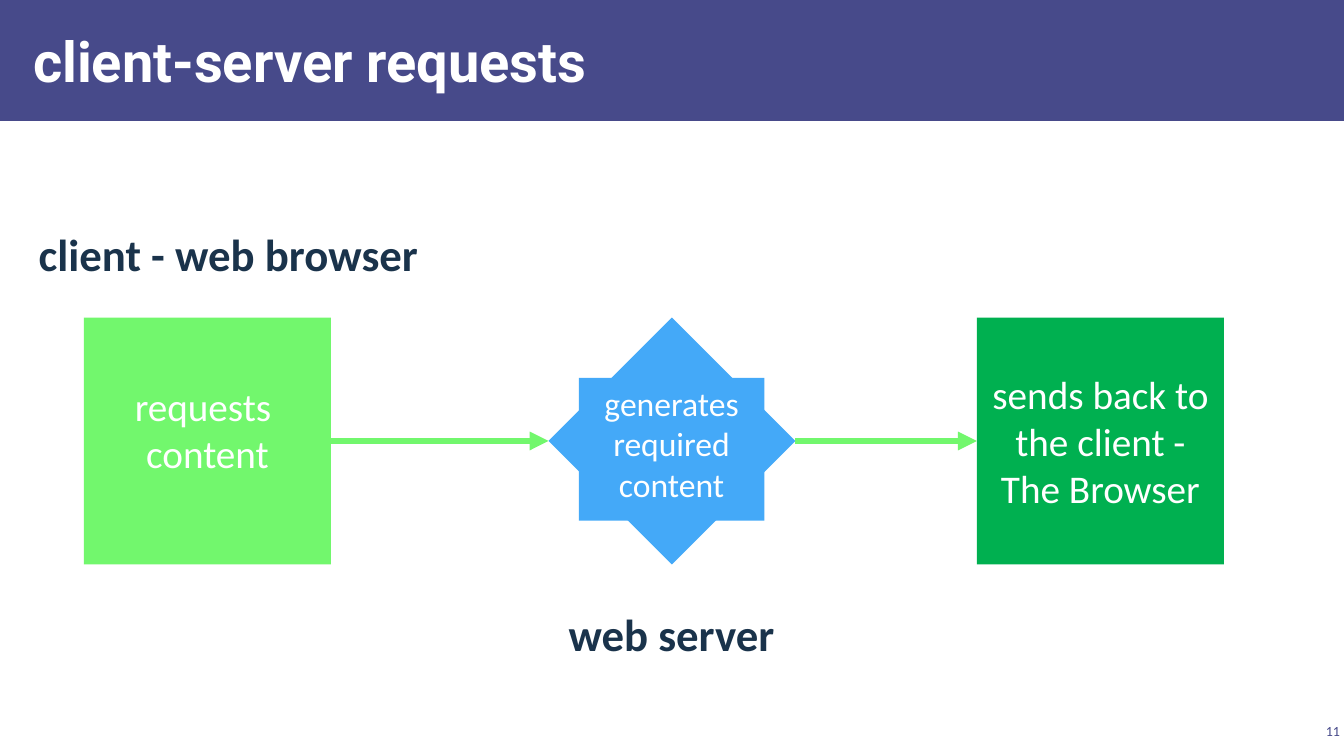
from lxml.etree import SubElement
from pptx import Presentation
from pptx.dml.color import RGBColor
from pptx.enum.shapes import MSO_CONNECTOR, MSO_SHAPE
from pptx.enum.text import MSO_ANCHOR, PP_ALIGN
from pptx.oxml.ns import qn
from pptx.util import Inches, Pt

WIDTH, HEIGHT = 13.33, 7.5
COLS, ROWS = 16, 9
INDIGO, NAVY, WHITE = "474A8A", "1A334B", "FFFFFF"
LIME, GREEN, BLUE = "72F76D", "00B050", "44A9F8"
STEP, STEP_TOP = 2.94, 3.78
CLIENT_X, SERVER_X, REPLY_X = 1, (COLS - STEP) / 2, 11.63


def rgb(color):
    return RGBColor.from_string(color)


def col(n):
    return Inches(WIDTH * n / COLS)


def row(n):
    return Inches(HEIGHT * n / ROWS)


def grid(x, y, w, h):
    return col(x), row(y), col(w), row(h)


def write(sp, lines, size, color=WHITE, font="Calibri", bold=False,
          align=PP_ALIGN.CENTER, anchor=MSO_ANCHOR.MIDDLE, inset=(0.1, 0.05)):
    tf = sp.text_frame
    tf.word_wrap = True
    tf.vertical_anchor = anchor
    tf.margin_left = tf.margin_right = Inches(inset[0])
    tf.margin_top = tf.margin_bottom = Inches(inset[1])
    tf.text = "\n".join(lines)
    for p in tf.paragraphs:
        p.alignment = align
        for r in p.runs:
            r.font.name = font
            r.font.size = Pt(size)
            r.font.bold = bold
            r.font.color.rgb = rgb(color)


def add_block(shapes, kind, box, fill):
    sp = shapes.add_shape(kind, *grid(*box))
    sp.shadow.inherit = False
    sp.fill.solid()
    sp.fill.fore_color.rgb = rgb(fill)
    sp.line.fill.background()
    return sp


def add_text(shapes, box, text, size, color, **style):
    write(shapes.add_textbox(*grid(*box)), [text], size, color, **style)


def add_label(shapes, box, text):
    add_text(shapes, box, text, 32, NAVY, bold=True, anchor=MSO_ANCHOR.TOP)


def add_arrow(shapes, start, end):
    y = row(STEP_TOP + STEP / 2)
    cxn = shapes.add_connector(MSO_CONNECTOR.STRAIGHT, col(start), y, col(end), y)
    cxn.line.color.rgb = rgb(LIME)
    cxn.line.width = Pt(4.5)
    SubElement(cxn.line._get_or_add_ln(), qn("a:tailEnd"), type="triangle")
    SubElement(cxn._element.spPr, qn("a:effectLst"))


def add_server(shapes):
    group = shapes.add_group_shape().shapes
    add_block(group, MSO_SHAPE.DIAMOND, (SERVER_X, STEP_TOP, STEP, STEP), BLUE)
    sp = add_block(group, MSO_SHAPE.RECTANGLE, (6.89, 4.5, 2.21, 1.7), BLUE)
    write(sp, ["generates required", "content"], 24, anchor=MSO_ANCHOR.TOP)


def main():
    prs = Presentation()
    prs.slide_width, prs.slide_height = Inches(WIDTH), Inches(HEIGHT)
    s = prs.slides.add_slide(prs.slide_layouts[6])
    shapes = s.shapes

    add_block(shapes, MSO_SHAPE.RECTANGLE, (0, 0, COLS, 1.44), INDIGO)
    add_text(shapes, (0.25, 0.13, 12.48, 1.16), "client-server requests", 40, WHITE,
             font="Roboto", bold=True, align=PP_ALIGN.LEFT, inset=(0.12, 0.04))
    add_text(shapes, (15.43, 8.57, 0.57, 0.26), "11", 10, INDIGO,
             align=PP_ALIGN.RIGHT, inset=(0.04, 0.04))

    steps = [
        (CLIENT_X, LIME, ["requests ", "content"], 0.29),
        (REPLY_X, GREEN, ["sends back to the client - The Browser"], 0.05),
    ]
    for x, fill, lines, bottom in steps:
        sp = add_block(shapes, MSO_SHAPE.RECTANGLE, (x, STEP_TOP, STEP, STEP), fill)
        write(sp, lines, 28)
        sp.text_frame.margin_bottom = Inches(bottom)

    add_server(shapes)
    add_label(shapes, (0.17, 2.64, 5.1, 0.77), "client - web browser")
    for start, end in [(CLIENT_X, SERVER_X), (SERVER_X, REPLY_X)]:
        add_arrow(shapes, start + STEP, end)
    add_label(shapes, (4.33, 7.16, 7.33, 0.77), "web server")

    prs.save("out.pptx")


if __name__ == "__main__":
    main()
